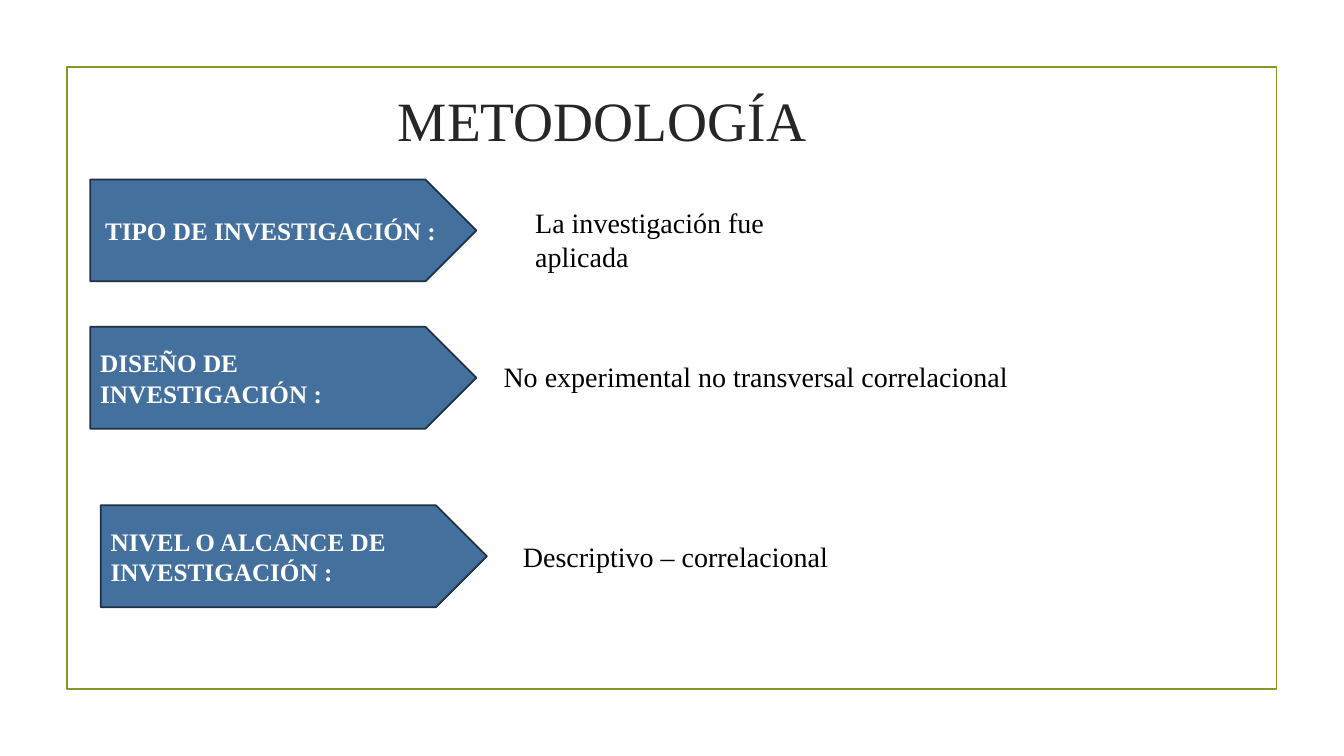
from pptx import Presentation
from pptx.dml.color import RGBColor
from pptx.enum.shapes import MSO_SHAPE
from pptx.enum.text import MSO_ANCHOR, PP_ALIGN
from pptx.util import Pt

GREEN = RGBColor(0x83, 0x99, 0x2A)
BLUE = RGBColor(0x44, 0x70, 0x9D)
NAVY = RGBColor(0x1E, 0x31, 0x45)
DARK_GREY = RGBColor(0x26, 0x26, 0x26)
BLACK = RGBColor(0, 0, 0)
WHITE = RGBColor(255, 255, 255)

ARROW_WIDTH, ARROW_HEIGHT = 275.8, 72.8

presentation = Presentation()
presentation.slide_width = Pt(960)
presentation.slide_height = Pt(540)
slide = presentation.slides.add_slide(presentation.slide_layouts[6])


def write(shape, text, size, color, alignment=PP_ALIGN.LEFT, bold=False, anchor=MSO_ANCHOR.MIDDLE):
    frame = shape.text_frame
    frame.word_wrap = True
    frame.vertical_anchor = anchor
    frame.text = text
    paragraph = frame.paragraphs[0]
    paragraph.alignment = alignment
    font = paragraph.runs[0].font
    font.name = "Times New Roman"
    font.size = Pt(size)
    font.bold = bold
    font.color.rgb = color


# Frame
frame_box = slide.shapes.add_shape(MSO_SHAPE.RECTANGLE, Pt(47.8), Pt(48), Pt(864), Pt(444))
frame_box.shadow.inherit = False
frame_box.fill.background()
frame_box.line.color.rgb = GREEN
frame_box.line.width = Pt(1.25)

# Title
title = slide.shapes.add_textbox(Pt(57), Pt(64), Pt(746), Pt(43.2))
write(title, "METODOLOGÍA", 39.6, DARK_GREY, PP_ALIGN.CENTER)

# Rows: arrow label, its alignment, left, top; answer, its left, top, width
rows = [
    ("TIPO DE INVESTIGACIÓN :", PP_ALIGN.CENTER, 64.5, 128.2,
     "La investigación fue aplicada", 375.2, 143.4, 240),
    ("DISEÑO DE INVESTIGACIÓN :", PP_ALIGN.LEFT, 64.5, 233.5,
     "No experimental no transversal correlacional", 352.6, 253, 385),
    ("NIVEL O ALCANCE DE INVESTIGACIÓN :", PP_ALIGN.LEFT, 72, 361,
     "Descriptivo – correlacional", 366.4, 381.6, 291.6),
]
for label, alignment, left, top, answer, answer_left, answer_top, answer_width in rows:
    arrow = slide.shapes.add_shape(
        MSO_SHAPE.PENTAGON, Pt(left), Pt(top), Pt(ARROW_WIDTH), Pt(ARROW_HEIGHT))
    arrow.shadow.inherit = False
    arrow.fill.solid()
    arrow.fill.fore_color.rgb = BLUE
    arrow.line.color.rgb = NAVY
    arrow.line.width = Pt(1.25)
    write(arrow, label, 18, WHITE, alignment, bold=True)

    answer_box = slide.shapes.add_textbox(
        Pt(answer_left), Pt(answer_top), Pt(answer_width), Pt(31.5))
    write(answer_box, answer, 20, BLACK, anchor=MSO_ANCHOR.TOP)

presentation.save("out.pptx")
